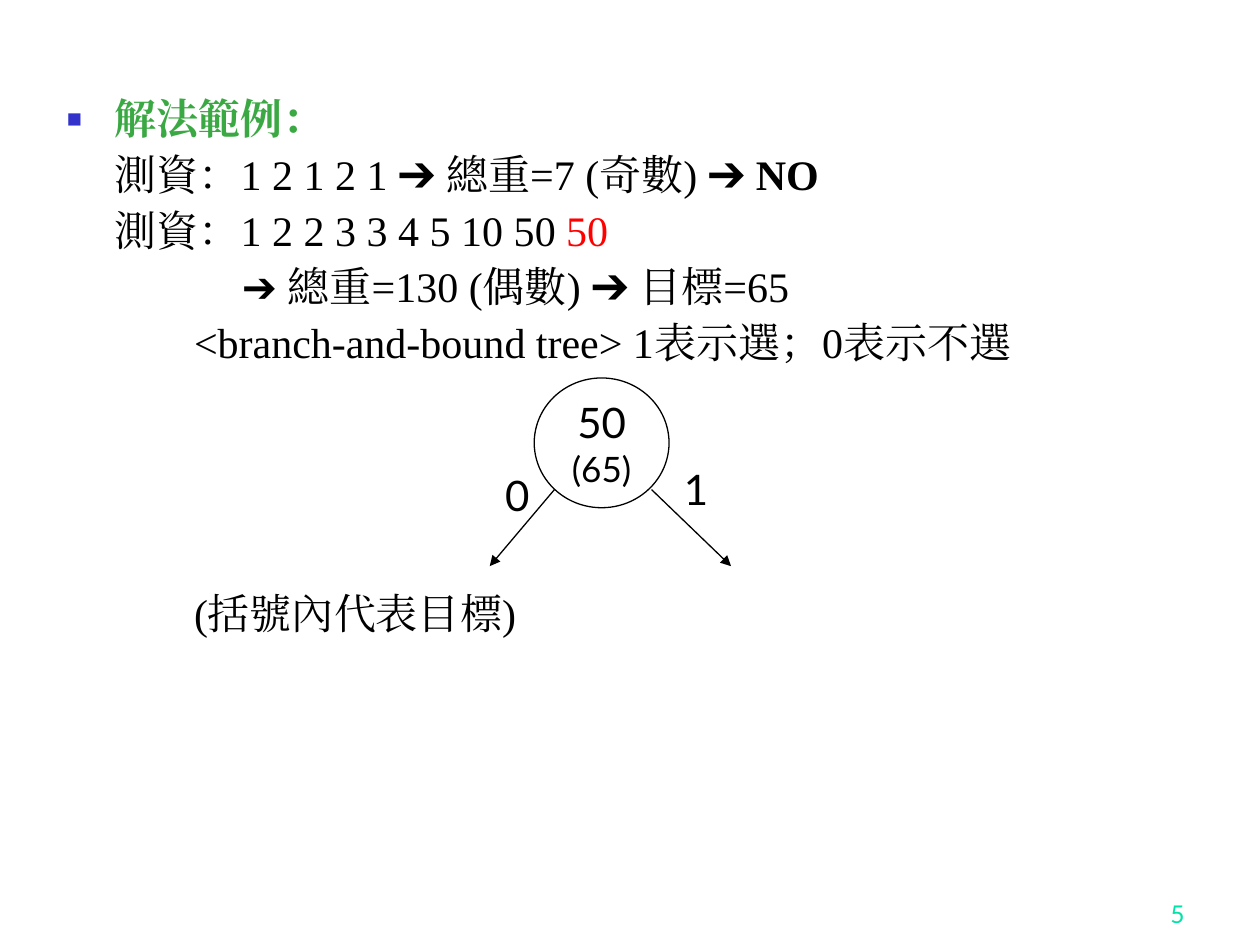
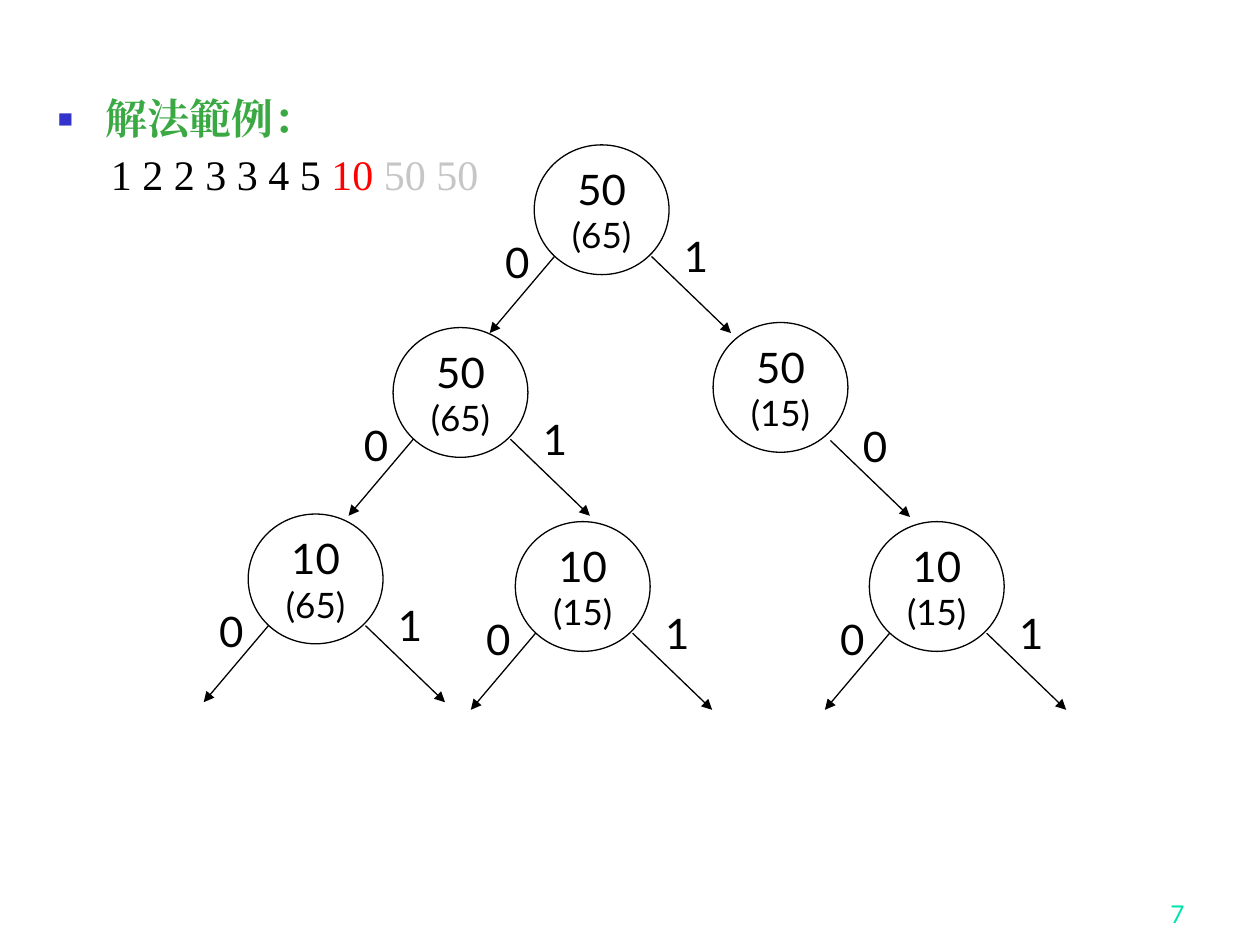
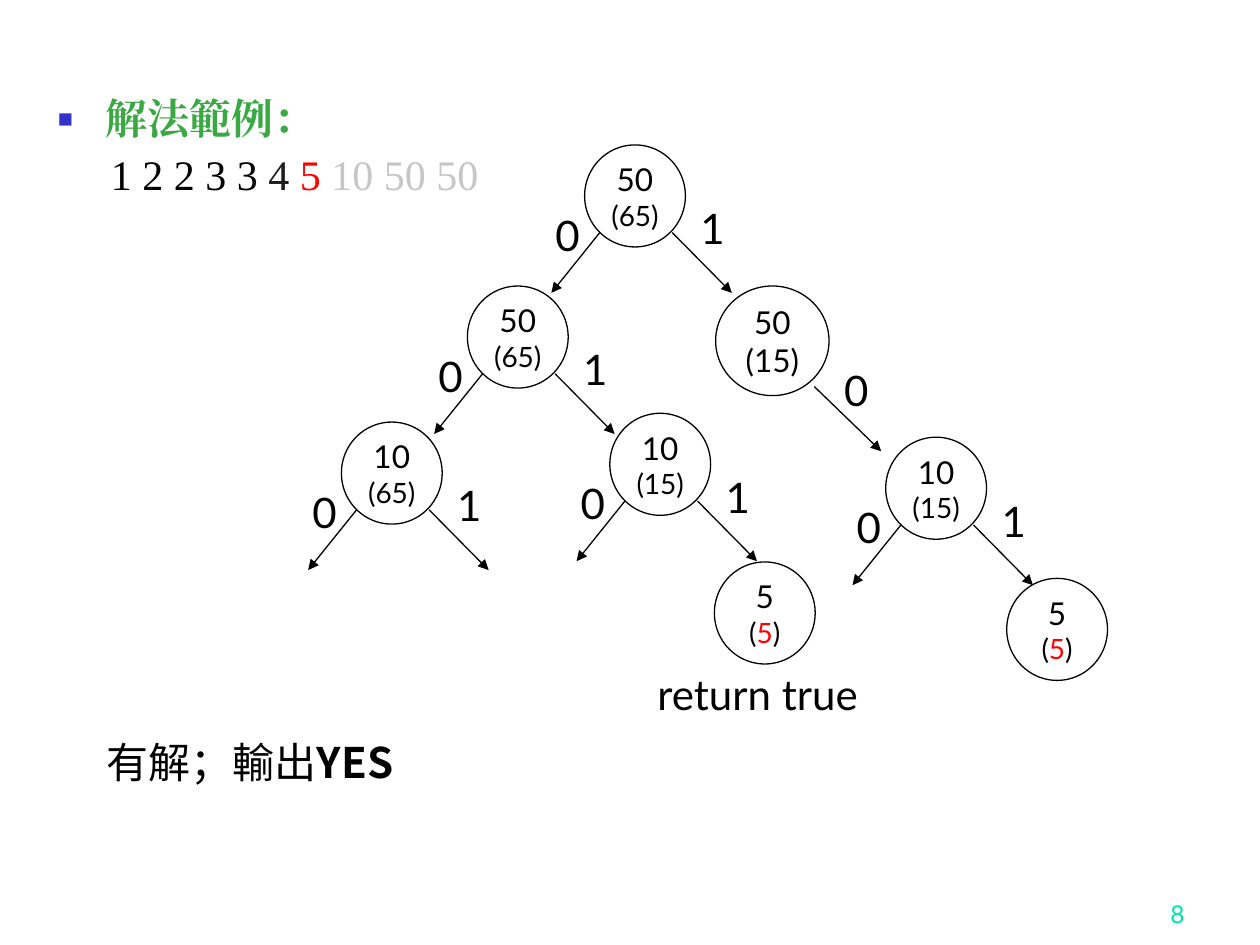
from lxml import etree
from pptx import Presentation
from pptx.dml.color import RGBColor
from pptx.enum.shapes import MSO_CONNECTOR as CONN, MSO_SHAPE as SHAPE
from pptx.enum.text import MSO_ANCHOR as ANCHOR, MSO_AUTO_SIZE as FIT, PP_ALIGN as ALIGN
from pptx.oxml.ns import qn
from pptx.util import Inches, Pt

rgb = RGBColor.from_string
BLACK, WHITE, RED, GREY = "000000", "FFFFFF", "FF0000", "C6C6C6"
GREEN, BULLET, NUMBER = "3BA943", "3333CC", "00E4A8"
SERIF, SANS, CJK = "Times New Roman", "Lato", "Noto Sans CJK SC"


def add_run(p, text, color=BLACK, size=24, font=SANS, bold=False):
    r = p.add_run()
    r.text = text
    r.font.name, r.font.size, r.font.bold = font, Pt(size), bold
    r.font.color.rgb = rgb(color)
    etree.SubElement(r.font._element, qn("a:ea"), typeface=font)


def add_text_box(s, x, y, w, h, *runs, **style):
    """Add a one-line text box; each run is a (text, bold) pair."""
    tf = s.shapes.add_textbox(Inches(x), Inches(y), Inches(w), Inches(h)).text_frame
    tf.word_wrap = True
    for text, bold in runs:
        add_run(tf.paragraphs[0], text, bold=bold, **style)
    return tf


# Body lines after the heading: (indent, space before in points, runs)
# Nodes: (left, top, size, value, target, branches)
LARGE, MEDIUM, SMALL = (1.07, 1.03, 24, 20), (0.9, 0.87, 18, 18), (0.8, 0.81, 18, 16)
BOTH, ONLY_ZERO, LEAF = "01", "0", ""
SLIDES = [
    {
        "number": "5", "left": 0.43,
        "lines": [
            (0.38, 6, [("測資：1 2 1 2 1 ➔ 總重=7 (奇數) ➔ ", BLACK, False), ("NO", BLACK, True)]),
            (0.38, 6, [("測資：1 2 2 3 3 4 5 10 50 ", BLACK, False), ("50", RED, False)]),
            (1.39, 6, [("➔ 總重=130 (偶數) ➔ 目標=65", BLACK, False)]),
            (1.01, 6, [("<branch-and-bound tree> 1表示選；0表示不選", BLACK, False)]),
            (1.01, 129, [("(括號內代表目標)", BLACK, False)]),
        ],
        "nodes": [(4.24, 3, LARGE, "50", "65", BOTH)],
    },
    {
        "number": "7", "left": 0.36,
        "lines": [(0.42, 6, [("1 2 2 3 3 4 5 ", BLACK, False), ("10 ", RED, False),
                             ("50 50", GREY, False)])],
        "nodes": [
            (4.24, 1.15, LARGE, "50", "65", BOTH),
            (5.66, 2.56, LARGE, "50", "15", ONLY_ZERO),
            (3.12, 2.6, LARGE, "50", "65", BOTH),
            (1.97, 4.08, LARGE, "10", "65", BOTH),
            (4.09, 4.14, LARGE, "10", "15", BOTH),
            (6.9, 4.14, LARGE, "10", "15", BOTH),
        ],
    },
    {
        "number": "8", "left": 0.36,
        "lines": [(0.42, 6, [("1 2 2 3 3 ", BLACK, False), ("4 ", "1C1C1C", False),
                             ("5 ", RED, False), ("10 50 50", GREY, False)])],
        "nodes": [
            (4.64, 1.15, SMALL, "50", "65", BOTH),
            (5.68, 2.27, MEDIUM, "50", "15", ONLY_ZERO),
            (3.71, 2.27, SMALL, "50", "65", BOTH),
            (2.71, 3.35, SMALL, "10", "65", BOTH),
            (4.84, 3.28, SMALL, "10", "15", BOTH),
            (7.03, 3.47, SMALL, "10", "15", BOTH),
            (5.67, 4.46, SMALL, "5", "5", LEAF),
            (7.99, 4.59, SMALL, "5", "5", LEAF),
        ],
    },
]

prs = Presentation()
prs.slide_width, prs.slide_height = Inches(10), Inches(7.5)

for page in SLIDES:
    s = prs.slides.add_slide(prs.slide_layouts.get_by_name("Title and Content"))
    title = s.shapes.title._element
    title.getparent().remove(title)

    tf = add_text_box(s, 7.42, 6.92, 2.08, 0.5, (page["number"], False), color=NUMBER, size=14)
    tf.vertical_anchor = ANCHOR.BOTTOM
    tf.paragraphs[0].alignment = ALIGN.RIGHT

    body = s.placeholders[1]
    body.left, body.top = Inches(page["left"]), Inches(0.73)
    body.width, body.height = Inches(8.83), Inches(6.15)
    tf = body.text_frame
    tf.auto_size, tf.vertical_anchor = FIT.NONE, ANCHOR.TOP
    heading = (0.38, 0, [("解法範例：", GREEN, True)])
    for i, (indent, before, runs) in enumerate([heading] + page["lines"]):
        p = tf.add_paragraph() if i else tf.paragraphs[0]
        pPr = p._p.get_or_add_pPr()
        pPr.set("marL", str(Inches(indent)))
        pPr.set("indent", "0" if i else str(-Inches(indent)))
        if i:
            etree.SubElement(pPr, qn("a:buNone"))
        else:
            color = etree.SubElement(pPr, qn("a:buClr"))
            etree.SubElement(color, qn("a:srgbClr"), val=BULLET)
            etree.SubElement(pPr, qn("a:buSzPct"), val="60000")
            etree.SubElement(pPr, qn("a:buChar"), char="■")
        p.line_spacing, p.space_before = 0.9, Pt(before)
        for text, color, bold in runs:
            add_run(p, text, color, font=SERIF, bold=bold)

    for x, y, (w, h, value_size, target_size), value, target, branches in page["nodes"]:
        sp = s.shapes.add_shape(SHAPE.OVAL, Inches(x), Inches(y), Inches(w), Inches(h))
        sp.shadow.inherit = False
        sp.fill.solid()
        sp.fill.fore_color.rgb = rgb(WHITE)
        sp.line.color.rgb, sp.line.width = rgb(BLACK), Pt(0.75)
        tf = sp.text_frame
        tf.word_wrap, tf.vertical_anchor = False, ANCHOR.MIDDLE
        tf.margin_left = tf.margin_right = tf.margin_top = tf.margin_bottom = 0
        p = tf.paragraphs[0]
        p.alignment = ALIGN.CENTER
        add_run(p, value, size=value_size)
        p.add_line_break()
        if branches == LEAF:
            add_run(p, "(", size=target_size)
            add_run(p, target, RED, target_size)
            add_run(p, ")", size=target_size)
        else:
            add_run(p, f"({target})", size=target_size)

        for branch in branches:
            # A lone branch hangs to the right, a little lower
            goes_left = branch == "0" and branches == BOTH
            drop = 0.05 if branches == ONLY_ZERO else 0
            start, end = (0.15, -0.33) if goes_left else (0.87, 1.46)
            arrow = s.shapes.add_connector(
                CONN.STRAIGHT, Inches(x + start * w), Inches(y + 0.86 * h + drop),
                Inches(x + end * w), Inches(y + 1.45 * h + drop))
            arrow.line.color.rgb, arrow.line.width = rgb(BLACK), Pt(0.75)
            etree.SubElement(arrow.line._get_or_add_ln(), qn("a:tailEnd"), type="triangle")
            etree.SubElement(arrow._element.spPr, qn("a:effectLst"))
            label_x = x - 0.33 if goes_left else x + w + 0.02
            label_y = y + h - (0.35 if goes_left else 0.4) + 2 * drop
            add_text_box(s, label_x, label_y, 0.42, 0.5, (branch, False))

add_text_box(s, 5.12, 5.26, 2.03, 0.5, ("return true", False))
add_text_box(s, 0.75, 5.8, 4.14, 0.5, ("有解；輸出", False), ("YES", True), font=CJK)

prs.save("out.pptx")
